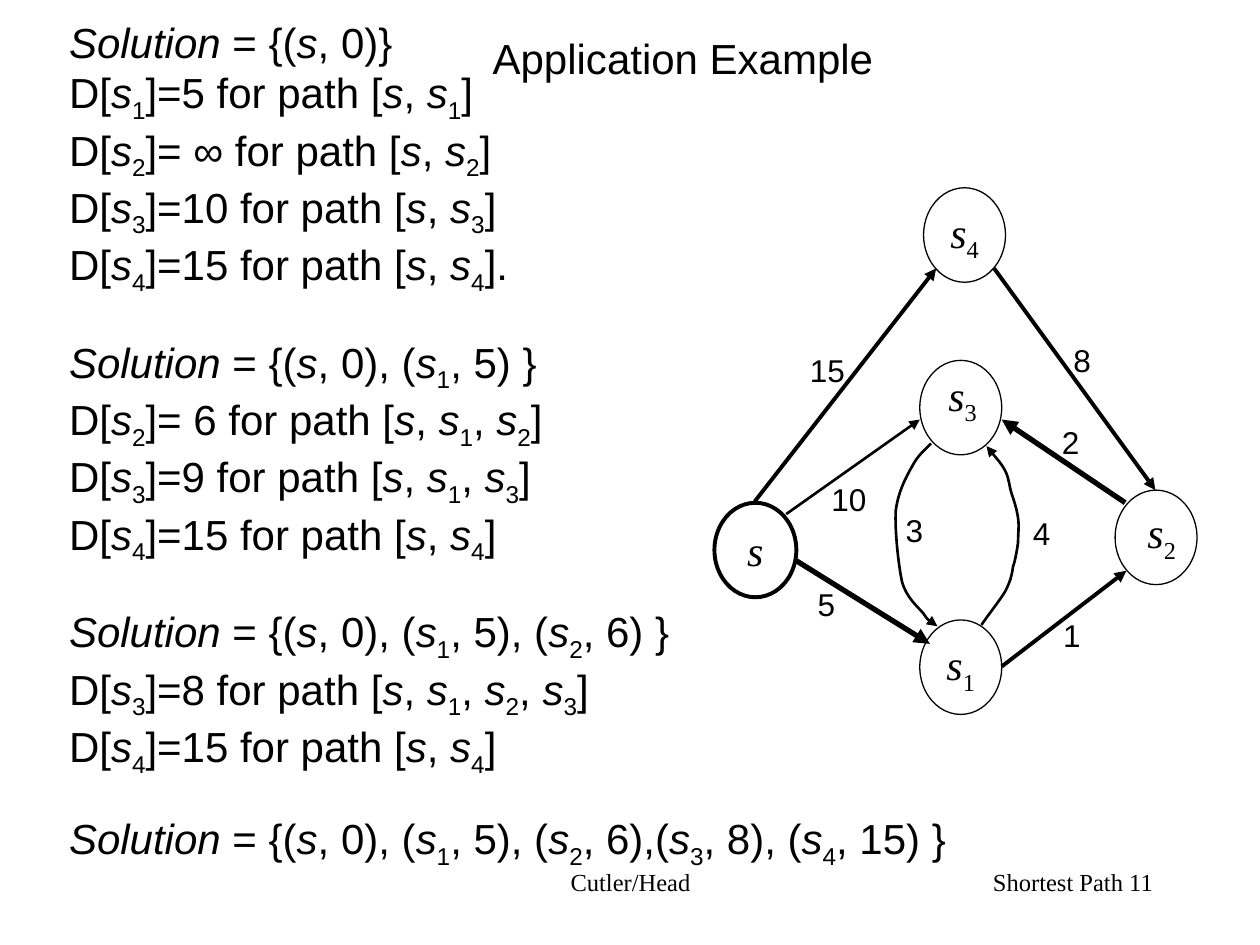
from lxml import etree
from pptx import Presentation
from pptx import util as u
from pptx.dml.color import RGBColor
from pptx.enum import shapes, text
from pptx.oxml.ns import qn

BLACK = "000000"
SANS, SERIF = "Arial", "Times New Roman"
LEFT, CENTER, RIGHT = text.PP_ALIGN.LEFT, text.PP_ALIGN.CENTER, text.PP_ALIGN.RIGHT
TOP, MIDDLE = text.MSO_ANCHOR.TOP, text.MSO_ANCHOR.MIDDLE
NODE_W, NODE_H = 0.65, 0.75

# In marked-up text, *x* is italic and a following _n is a subscript.
STEPS = [
    ["*Solution* = {(*s*, 0)}",
     "D[*s*_1]=5 for path [*s*, *s*_1]",
     "D[*s*_2]= ∞ for path [*s*, *s*_2]",
     "D[*s*_3]=10 for path [*s*, *s*_3]",
     "D[*s*_4]=15 for path [*s*, *s*_4]."],
    ["*Solution* = {(*s*, 0), (*s*_1, 5) }",
     "D[*s*_2]= 6 for path [*s*, *s*_1, *s*_2]",
     "D[*s*_3]=9 for path [*s*, *s*_1, *s*_3]",
     "D[*s*_4]=15 for path [*s*, *s*_4]"],
    ["*Solution* = {(*s*, 0), (*s*_1, 5), (*s*_2, 6) }",
     "D[*s*_3]=8 for path [*s*, *s*_1, *s*_2, *s*_3]",
     "D[*s*_4]=15 for path [*s*, *s*_4]"],
    ["*Solution* = {(*s*, 0), (*s*_1, 5), (*s*_2, 6),(*s*_3, 8), (*s*_4, 15) }"],
]
STEP_GAPS = [0, 23, 23, 20]

# left, top, label, line width
NODES = [
    (5.67, 3.99, "*s*", 2.25),
    (7.3, 2.86, "", 0.75),
    (7.3, 4.92, "*s*_1", 0.75),
    (8.85, 3.89, "", 0.75),
    (7.33, 1.49, "*s*_4", 0.75),
]
# left, top, label
OFFSET_NODE_LABELS = [(7.34, 2.88, "*s*_3"), (8.92, 3.97, "*s*_2")]

# start, end, line width
EDGES = [
    ((6.32, 4.45), (7.38, 5.11), 3),
    ((6.24, 4.08), (7.3, 3.33), 1.5),
    ((8.93, 3.99), (7.95, 3.33), 3),
    ((7.89, 2.13), (9.17, 3.89), 2.25),
    ((5.99, 3.98), (7.43, 2.13), 2.25),
    ((7.95, 5.29), (8.94, 4.53), 2.25),
]
# start point, then three points for each Bezier segment
CURVED_EDGES = [
    [(7.39, 3.52), (7.33, 3.58), (7.29, 3.61), (7.24, 3.7),
     (7.19, 3.79), (7.13, 3.9), (7.11, 4.05),
     (7.1, 4.2), (7.13, 4.48), (7.16, 4.62),
     (7.2, 4.75), (7.28, 4.81), (7.33, 4.87),
     (7.37, 4.93), (7.41, 4.95), (7.44, 4.97)],
    [(7.79, 4.96), (7.82, 4.91), (7.94, 4.76), (7.98, 4.69),
     (8.02, 4.61), (8.03, 4.57), (8.04, 4.5),
     (8.06, 4.44), (8.07, 4.37), (8.08, 4.31),
     (8.08, 4.24), (8.09, 4.17), (8.08, 4.11),
     (8.07, 4.04), (8.05, 3.98), (8.03, 3.92),
     (8.01, 3.86), (8.01, 3.8), (7.98, 3.74),
     (7.95, 3.68), (7.86, 3.58), (7.83, 3.54)],
]
WEIGHTS = [
    (6.39, 4.59, "5"), (6.5, 3.76, "10"), (7.09, 4.01, "3"),
    (8.34, 4.84, "1"), (8.1, 4.03, "4"), (8.33, 3.31, "2"),
    (6.33, 2.74, "15"), (8.42, 2.66, "8"),
]


def rgb(color):
    return RGBColor.from_string(color)


def add_run(p, content, size, font, color, italic=False, subscript=False):
    r = p.add_run()
    r.text = content
    r.font.size, r.font.name, r.font.italic = u.Pt(size), font, italic
    r.font.color.rgb = rgb(color)
    if subscript:
        r.font._element.set("baseline", "-25000")


def write(p, markup, size=24, font=SANS, color=BLACK, align=LEFT, before=0):
    """Fill a paragraph from marked-up text."""
    p.alignment = align
    if before:
        p.space_before = u.Pt(before)
    for i, part in enumerate(markup.split("*")):
        if part.startswith("_"):
            add_run(p, part[1], size, font, color, subscript=True)
            part = part[2:]
        if part:
            add_run(p, part, size, font, color, italic=i % 2 == 1)


def add_text(slide, left, top, width, height, markup, anchor=TOP, wrap=True, **fmt):
    sp = slide.shapes.add_textbox(*map(u.Inches, (left, top, width, height)))
    tf = sp.text_frame
    tf.word_wrap, tf.vertical_anchor = wrap, anchor
    write(tf.paragraphs[0], markup, **fmt)
    return tf


def set_line(sp, width, arrow=False):
    sp.line.color.rgb = rgb(BLACK)
    sp.line.width = u.Pt(width)
    if arrow:
        ln = sp._element.spPr.find(qn("a:ln"))
        etree.SubElement(ln, qn("a:tailEnd"), type="triangle")


def add_node(slide, left, top, label, width):
    sp = slide.shapes.add_shape(shapes.MSO_SHAPE.OVAL,
                                *map(u.Inches, (left, top, NODE_W, NODE_H)))
    sp.shadow.inherit = False
    sp.fill.background()
    set_line(sp, width)
    tf = sp.text_frame
    tf.word_wrap, tf.vertical_anchor = False, MIDDLE
    write(tf.paragraphs[0], label, font=SERIF, align=CENTER)


def add_edge(slide, start, end, width):
    line = slide.shapes.add_connector(shapes.MSO_CONNECTOR.STRAIGHT,
                                      *map(u.Inches, start + end))
    set_line(line, width, arrow=True)
    etree.SubElement(line._element.spPr, qn("a:effectLst"))


def add_curved_edge(slide, points, width=1.5):
    """Build an outline through all points, then join each three into a Bezier."""
    start, *rest = [tuple(map(u.Inches, point)) for point in points]
    builder = slide.shapes.build_freeform(*start)
    builder.add_line_segments(rest, close=False)
    sp = builder.convert_to_shape()
    sp.shadow.inherit = False
    sp.fill.background()
    set_line(sp, width, arrow=True)
    segments = list(sp._element.iter(qn("a:lnTo")))
    outline = segments[0].getparent()
    for i in range(0, len(segments), 3):
        curve = etree.SubElement(outline, qn("a:cubicBezTo"))
        for segment in segments[i:i + 3]:
            curve.append(segment[0])
            outline.remove(segment)


def add_steps(slide):
    lines = [(line, gap if i == 0 else 0)
             for step, gap in zip(STEPS, STEP_GAPS)
             for i, line in enumerate(step)]
    tf = add_text(slide, 0.45, 0.08, 7.16, 7.28, lines[0][0])
    for line, gap in lines[1:]:
        write(tf.add_paragraph(), line, before=gap)


def main():
    prs = Presentation()
    prs.slide_width, prs.slide_height = u.Inches(10), u.Inches(7.5)
    slide = prs.slides.add_slide(prs.slide_layouts[6])

    add_text(slide, 3.42, 6.83, 3.17, 0.5, "Cutler/Head",
             size=14, font=SERIF, align=CENTER)
    add_text(slide, 7.17, 6.83, 2.08, 0.5, "Shortest Path 11",
             size=14, font=SERIF, align=RIGHT)
    add_text(slide, 1.17, 0.17, 8.5, 0.58, "Application Example",
             anchor=MIDDLE, align=CENTER)
    add_steps(slide)

    for node in NODES:
        add_node(slide, *node)
    for left, top, label in OFFSET_NODE_LABELS:
        add_text(slide, left, top, 0.6, 0.56, label, anchor=MIDDLE,
                 font=SERIF, align=CENTER)
    for edge in EDGES:
        add_edge(slide, *edge)
    for points in CURVED_EDGES:
        add_curved_edge(slide, points)
    for left, top, label in WEIGHTS:
        add_text(slide, left, top, 0.2 + 0.14 * len(label), 0.4, label,
                 wrap=False, size=18)

    prs.save("out.pptx")


if __name__ == "__main__":
    main()
